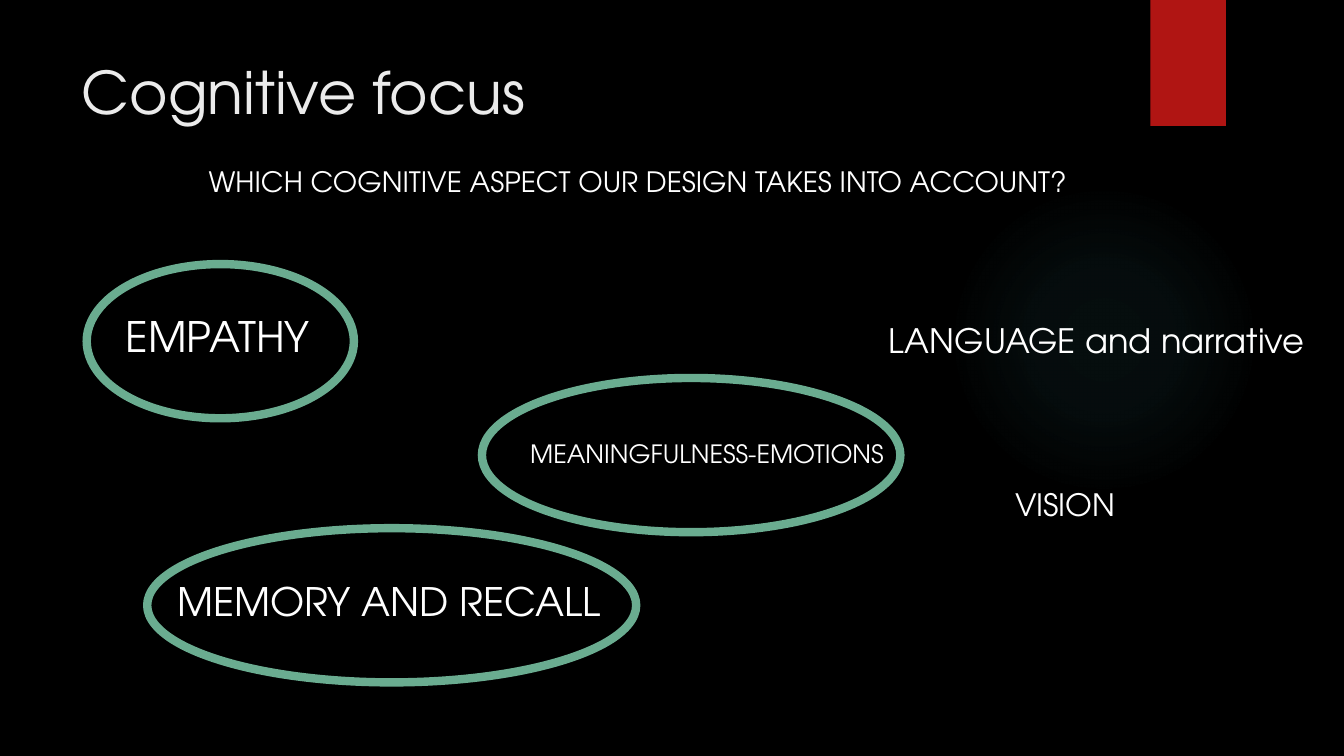
from dataclasses import dataclass

from lxml import etree
from pptx import Presentation
from pptx.dml.color import RGBColor
from pptx.enum.shapes import MSO_SHAPE
from pptx.enum.text import MSO_ANCHOR, MSO_AUTO_SIZE, PP_ALIGN
from pptx.oxml import parse_xml
from pptx.oxml.ns import nsdecls
from pptx.util import Emu, Pt

OVAL, RECTANGLE = MSO_SHAPE.OVAL, MSO_SHAPE.RECTANGLE
TOP, LEFT = MSO_ANCHOR.TOP, PP_ALIGN.LEFT
NO_AUTOFIT = MSO_AUTO_SIZE.NONE

EMU_PER_PX = 9144  # 100 px to the inch
FONT = "TeX Gyre Adventor"
BLACK, WHITE, PALE = "000000", "FFFFFF", "EBEBEB"
RED, GREEN, GLOW = "B01513", "6AAC90", "50B9C1"
GLOW_STOPS = ((0, 7), (36, 6), (69, 0))  # position and opacity, percent


@dataclass(frozen=True)
class Frame:
    left: int
    top: int
    width: int
    height: int

    def emu(self) -> list[Emu]:
        return [px(n) for n in (self.left, self.top, self.width, self.height)]


@dataclass(frozen=True)
class Label:
    text: str
    frame: Frame
    size: int
    wrap: bool = True


LABELS = (
    Label("WHICH COGNITIVE ASPECT OUR DESIGN TAKES INTO ACCOUNT?",
          Frame(197, 158, 978, 61), 20),
    Label("EMPATHY", Frame(115, 303, 235, 61), 30),
    Label("MEMORY AND RECALL", Frame(166, 568, 498, 57), 28),
    Label("VISION", Frame(997, 477, 121, 47), 22, wrap=False),
    Label("LANGUAGE and narrative", Frame(871, 312, 440, 50), 24, wrap=False),
    Label("MEANINGFULNESS-EMOTIONS", Frame(516, 430, 504, 40), 18),
)
RINGS = (
    Frame(86, 262, 265, 153),
    Frame(478, 375, 415, 153),
    Frame(146, 524, 485, 153),
)


def px(length: int) -> Emu:
    return Emu(length * EMU_PER_PX)


def colour(value: str) -> RGBColor:
    return RGBColor.from_string(value)


def add_plain_shape(page, kind, frame: Frame):
    """Add a preset shape with no fill, line or shadow."""
    shape = page.shapes.add_shape(kind, *frame.emu())
    shape.shadow.inherit = False
    shape.fill.background()
    shape.line.fill.background()
    return shape


def add_glow(page, frame: Frame) -> None:
    glow = add_plain_shape(page, OVAL, frame)
    gradient = parse_xml(
        f'<a:gradFill {nsdecls("a")} rotWithShape="1"><a:gsLst/>'
        '<a:path path="circle">'
        '<a:fillToRect l="50000" t="50000" r="50000" b="50000"/>'
        '</a:path></a:gradFill>')
    for position, opacity in GLOW_STOPS:
        gradient[0].append(etree.fromstring(
            f'<a:gs {nsdecls("a")} pos="{position * 1000}">'
            f'<a:srgbClr val="{GLOW}"><a:alpha val="{opacity * 1000}"/>'
            '</a:srgbClr></a:gs>'))
    properties = glow.element.spPr
    properties.replace(properties.find("{*}noFill"), gradient)


def add_ring(page, frame: Frame) -> None:
    ring = add_plain_shape(page, OVAL, frame)
    ring.line.color.rgb = colour(GREEN)
    ring.line.width = Pt(6)


def write_text(box, text: str, size: int, hex_colour: str, wrap: bool) -> None:
    text_frame = box.text_frame
    text_frame.word_wrap = wrap
    text_frame.auto_size = NO_AUTOFIT
    text_frame.vertical_anchor = TOP
    para = text_frame.paragraphs[0]
    para.text = text
    para.alignment = LEFT
    para.font.name = FONT
    para.font.size = Pt(size)
    para.font.color.rgb = colour(hex_colour)


def add_label(page, label: Label) -> None:
    box = page.shapes.add_textbox(*label.frame.emu())
    write_text(box, label.text, label.size, WHITE, label.wrap)


def main() -> None:
    deck = Presentation()
    deck.slide_width, deck.slide_height = px(1333), px(750)
    page = deck.slides.add_slide(deck.slide_layouts[5])
    page.background.fill.solid()
    page.background.fill.fore_color.rgb = colour(BLACK)

    # Backdrop: soft glow and red tab
    add_glow(page, Frame(941, 183, 308, 308))
    tab = add_plain_shape(page, RECTANGLE, Frame(1141, 0, 75, 125))
    tab.fill.solid()
    tab.fill.fore_color.rgb = colour(RED)

    # Title
    title = page.shapes.title
    title.left, title.top, title.width, title.height = Frame(71, 50, 1029, 153).emu()
    write_text(title, "Cognitive focus", 42, PALE, wrap=True)

    # Cognitive aspects, with the chosen ones ringed
    for label in LABELS:
        add_label(page, label)
    for ring in RINGS:
        add_ring(page, ring)

    deck.save("out.pptx")


if __name__ == "__main__":
    main()
